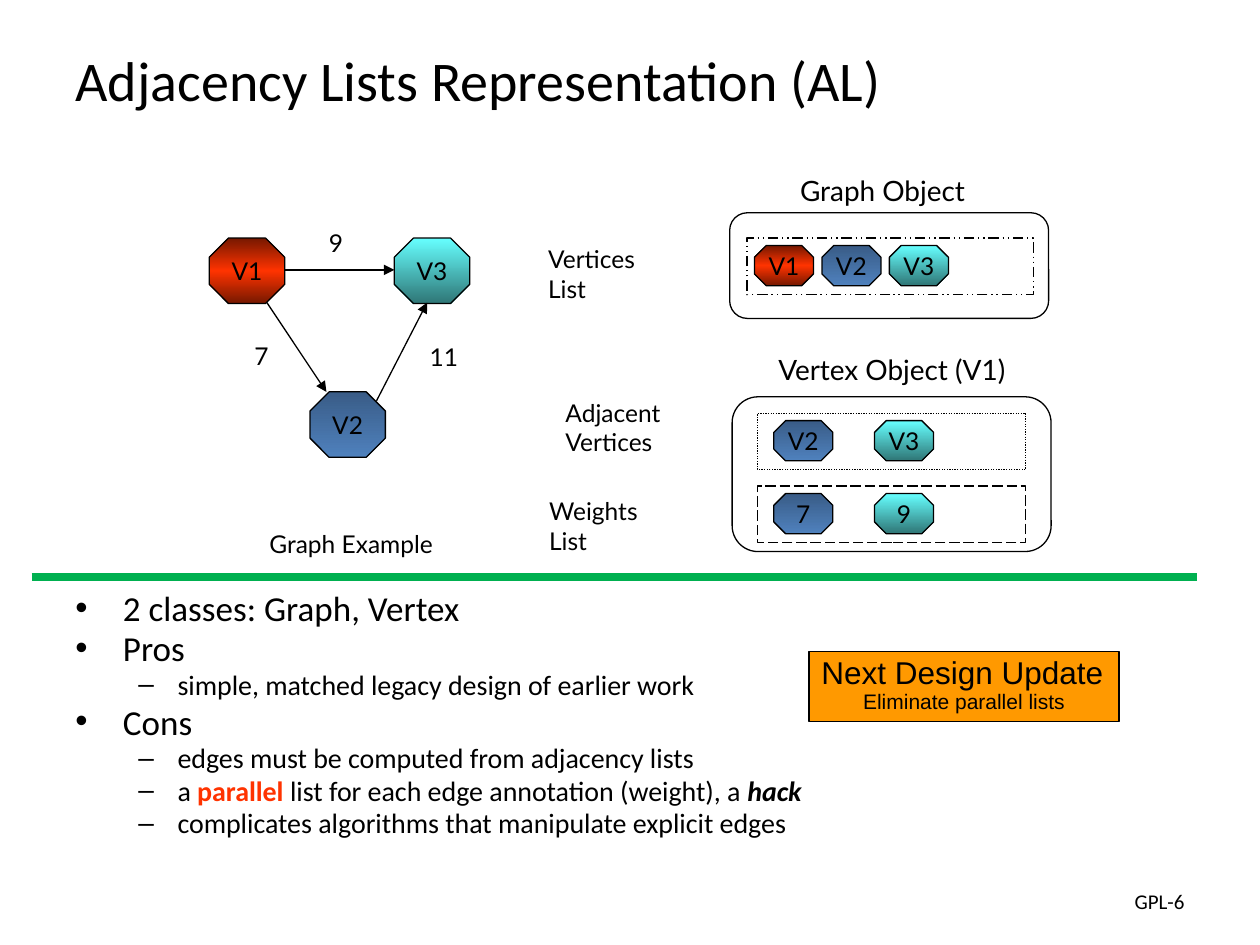
from lxml import etree
from pptx import Presentation
from pptx import util as u
from pptx.dml.color import RGBColor
from pptx.enum import dml, shapes, text
from pptx.oxml.ns import qn

BLACK = "000000"
RED = [(0, "761800"), (50, "FF3300"), (100, "761800")]
BLUE = [(0, "395C87"), (100, "4F81BD")]
TEAL = [(0, "66FFFF"), (100, "2F7676")]
VERTEX_COLOURS = {"V1": RED, "V2": BLUE, "V3": TEAL}

BULLETS = [
    (0, ["2 classes: Graph, Vertex"]),
    (0, ["Pros"]),
    (1, ["simple, matched legacy design of earlier work"]),
    (0, ["Cons"]),
    (1, ["edges must be computed from adjacency lists"]),
    (1, ["a ", "parallel", " list for each edge annotation (weight), a ", "hack"]),
    (1, ["complicates algorithms that manipulate explicit edges"]),
]


def colour(value):
    return RGBColor.from_string(value)


def cm(*lengths):
    return [u.Cm(length) for length in lengths]


class SlideBuilder:
    body_font = "Calibri"
    diagram_font = "Lato"
    callout_font = "Arial"
    thin = 0.75

    def __init__(self, slide):
        self.slide = slide

    def style(self, paragraph, size, font, align=text.PP_ALIGN.LEFT):
        paragraph.alignment = align
        for run in paragraph.runs:
            run.font.size = u.Pt(size)
            run.font.name = font
            run.font.color.rgb = colour(BLACK)

    def title(self, words):
        shape = self.slide.shapes.title
        shape.left, shape.top, shape.width, shape.height = cm(1.27, 0, 22.86, 3.18)
        frame = shape.text_frame
        frame.text = words
        frame.auto_size = text.MSO_AUTO_SIZE.NONE
        frame.vertical_anchor = text.MSO_ANCHOR.MIDDLE
        self.style(frame.paragraphs[0], 32, self.body_font)

    def label(self, words, left, top, width, height=0.86, size=14, font=diagram_font,
              align=text.PP_ALIGN.LEFT, anchor=text.MSO_ANCHOR.TOP):
        frame = self.slide.shapes.add_textbox(*cm(left, top, width, height)).text_frame
        frame.word_wrap = True
        frame.vertical_anchor = anchor
        frame.text = words
        for paragraph in frame.paragraphs:
            self.style(paragraph, size, font, align)

    def bullets(self, items, left, top, width, height):
        frame = self.slide.shapes.add_textbox(*cm(left, top, width, height)).text_frame
        frame.word_wrap = True
        for index, (level, pieces) in enumerate(items):
            paragraph = frame.add_paragraph() if index else frame.paragraphs[0]
            for piece in pieces:
                paragraph.add_run().text = piece
            size, mark, margin, hanging = [(20, "•", 0.96, 0.96), (16, "–", 2.06, 0.79)][level]
            self.style(paragraph, size, self.body_font)
            paragraph.level = level
            paragraph.line_spacing = 0.8
            paragraph.space_before = u.Pt(size * 0.2)
            properties = paragraph._p.get_or_add_pPr()
            properties.set("marL", str(u.Cm(margin)))
            properties.set("indent", str(-u.Cm(hanging)))
            etree.SubElement(properties, qn("a:buFont")).set("typeface", "Arial")
            etree.SubElement(properties, qn("a:buChar")).set("char", mark)
            for run in paragraph.runs:
                if run.text in ("parallel", "hack"):
                    run.font.bold = True
                    run.font.italic = run.text == "hack"
                if run.text == "parallel":
                    run.font.color.rgb = colour("FF3300")

    def box(self, kind, left, top, width, height, fill=None, dash=None):
        shape = self.slide.shapes.add_shape(kind, *cm(left, top, width, height))
        shape.shadow.inherit = False
        if fill:
            shape.fill.solid()
            shape.fill.fore_color.rgb = colour(fill)
        else:
            shape.fill.background()
        shape.line.color.rgb = colour(BLACK)
        shape.line.width = u.Pt(self.thin)
        if dash:
            shape.line.dash_style = dash
        return shape

    def container(self, left, top, width, height):
        self.box(shapes.MSO_SHAPE.ROUNDED_RECTANGLE, left, top, width, height)

    def vertex(self, words, stops, left, top, width=1.19, height=0.81):
        """Octagon with a top-to-bottom gradient."""
        shape = self.box(shapes.MSO_SHAPE.OCTAGON, left, top, width, height)
        shape.fill.gradient()
        shape.fill.gradient_angle = 270
        stop_list = shape._element.spPr.find(".//" + qn("a:gsLst"))
        for stop in list(stop_list):
            stop_list.remove(stop)
        for percent, value in stops:
            stop = etree.SubElement(stop_list, qn("a:gs"), pos=str(percent * 1000))
            etree.SubElement(stop, qn("a:srgbClr"), val=value)
        frame = shape.text_frame
        frame.text = words
        frame.word_wrap = False
        frame.vertical_anchor = text.MSO_ANCHOR.MIDDLE
        self.style(frame.paragraphs[0], 14, self.diagram_font, text.PP_ALIGN.CENTER)

    def list_row(self, left, top, width, dash, entries, first, step):
        """Dashed frame holding equally spaced vertices."""
        self.box(shapes.MSO_SHAPE.RECTANGLE, left, top, width, 1.14, dash=dash)
        for index, (words, stops) in enumerate(entries):
            self.vertex(words, stops, first + index * step, top + 0.15)

    def line(self, start, end, value=BLACK, weight=thin, arrow=True):
        connector = self.slide.shapes.add_connector(
            shapes.MSO_CONNECTOR.STRAIGHT, *cm(*start, *end))
        connector.line.color.rgb = colour(value)
        connector.line.width = u.Pt(weight)
        if arrow:
            etree.SubElement(connector.line._get_or_add_ln(), qn("a:tailEnd"), type="triangle")
        etree.SubElement(connector._element.spPr, qn("a:effectLst"))

    def callout(self, heading, detail, left, top, width, height):
        shape = self.box(shapes.MSO_SHAPE.RECTANGLE, left, top, width, height, fill="FF9900")
        frame = shape.text_frame
        frame.word_wrap = False
        frame.vertical_anchor = text.MSO_ANCHOR.TOP
        frame.text = heading + "\n" + detail
        first, second = frame.paragraphs
        self.style(first, 18, self.callout_font)
        self.style(second, 12, self.callout_font, text.PP_ALIGN.CENTER)
        first.line_spacing = second.line_spacing = 0.9


def main():
    presentation = Presentation()
    presentation.slide_width, presentation.slide_height = cm(25.4, 19.05)
    builder = SlideBuilder(presentation.slides.add_slide(presentation.slide_layouts[5]))
    builder.title("Adjacency Lists Representation (AL)")
    builder.bullets(BULLETS, 1.27, 11.86, 22.86, 5.59)
    builder.label("GPL-6", 18.21, 17.65, 5.92, 1.02, 12, builder.body_font,
                  text.PP_ALIGN.RIGHT, text.MSO_ANCHOR.MIDDLE)
    builder.callout("Next Design Update", "Eliminate parallel lists", 16.31, 13.13, 6.25, 1.42)

    # Example graph
    for name, left, top in [("V1", 4.22, 4.8), ("V2", 6.25, 7.9), ("V3", 7.95, 4.8)]:
        builder.vertex(name, VERTEX_COLOURS[name], left, top, 1.52, 1.32)
    for start, end in [((5.38, 6.1), (6.58, 7.9)), ((5.74, 5.44), (7.95, 5.44)),
                       ((7.59, 8.08), (8.61, 6.1))]:
        builder.line(start, end)
    for weight, left, top in [("9", 6.38, 4.47), ("7", 4.88, 6.76), ("11", 8.41, 6.78)]:
        builder.label(weight, left, top, 1.2)
    builder.label("Graph Example", 5.18, 10.54, 4.1)

    # Graph and vertex objects
    builder.label("Graph Object", 15.88, 3.38, 4.1, 0.94, 16)
    builder.container(14.71, 4.29, 6.43, 2.13)
    builder.list_row(15.06, 4.8, 5.77, dml.MSO_LINE.DASH_DOT_DOT,
                     VERTEX_COLOURS.items(), 15.21, 1.36)
    builder.label("Vertex Object (V1)", 15.44, 6.98, 5.4, 0.94, 16)
    builder.container(14.76, 8, 6.43, 3.12)
    for top, dash, names in [(8.33, dml.MSO_LINE.ROUND_DOT, ("V2", "V3")),
                             (9.8, dml.MSO_LINE.LONG_DASH, ("7", "9"))]:
        builder.list_row(15.27, top, 5.41, dash, zip(names, (BLUE, TEAL)), 15.6, 2.03)
    for words, left, top in [("Vertices\nList", 10.8, 4.8), ("Adjacent\nVertices", 11.15, 7.9),
                             ("Weights\nList", 10.82, 9.88)]:
        builder.label(words, left, top, 3, 1.45)

    builder.line((0.64, 11.63), (24.13, 11.63), "00B050", 4.5, arrow=False)
    presentation.save("out.pptx")


if __name__ == "__main__":
    main()
